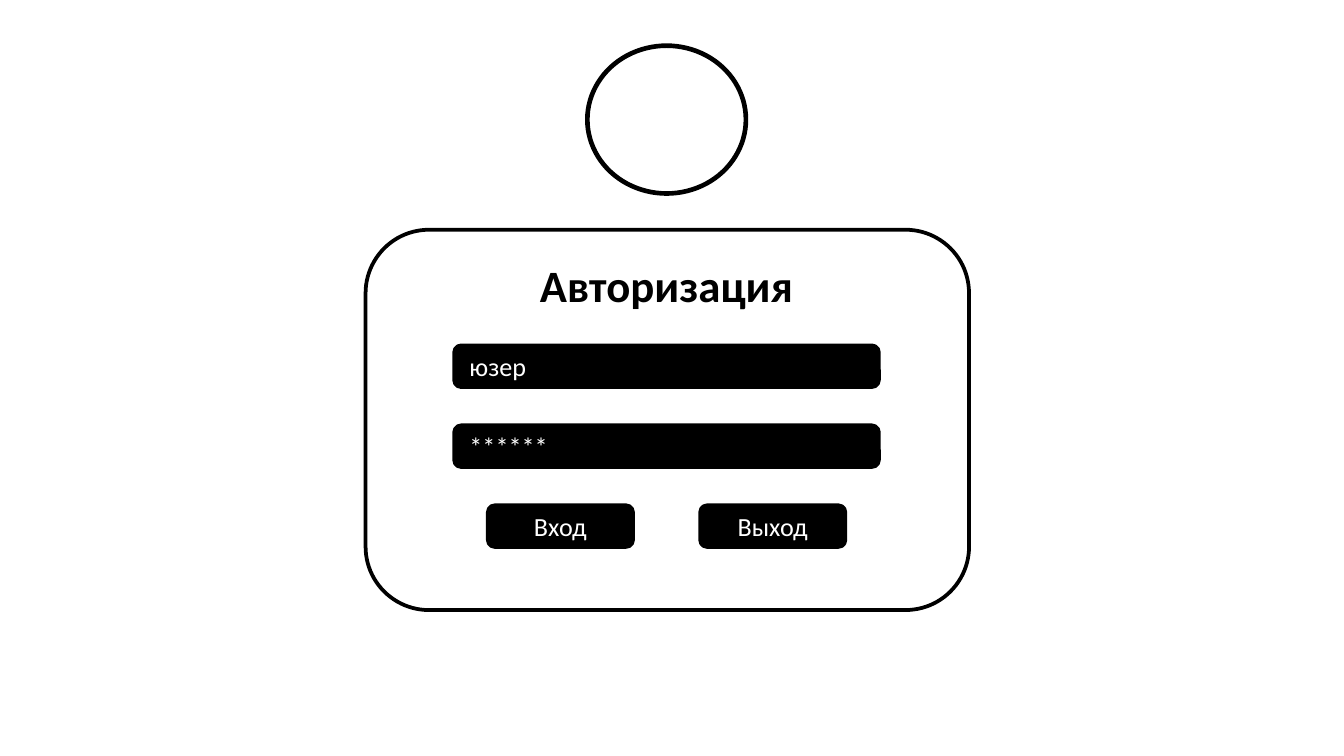
from pptx import Presentation
from pptx.dml.color import RGBColor
from pptx.enum import shapes, text
from pptx.util import Inches, Pt

BLACK = RGBColor(0, 0, 0)
WHITE = RGBColor(255, 255, 255)
ROUNDED = shapes.MSO_SHAPE.ROUNDED_RECTANGLE
OVAL = shapes.MSO_SHAPE.OVAL
LEFT = text.PP_ALIGN.LEFT
CENTER = text.PP_ALIGN.CENTER


def write(shape, words, size=14, color=WHITE, bold=False, align=CENTER,
          anchor=text.MSO_ANCHOR.MIDDLE):
    frame = shape.text_frame
    frame.word_wrap = True
    frame.vertical_anchor = anchor
    para = frame.paragraphs[0]
    para.alignment = align
    span = para.add_run()
    span.text = words
    span.font.name = "Calibri"
    span.font.size = Pt(size)
    span.font.bold = bold
    span.font.color.rgb = color


def add_outlined(page, kind, left, top, width, height, fill=WHITE, weight=2):
    shape = page.shapes.add_shape(
        kind, Inches(left), Inches(top), Inches(width), Inches(height))
    shape.shadow.inherit = False
    shape.fill.solid()
    shape.fill.fore_color.rgb = fill
    shape.line.color.rgb = BLACK
    shape.line.width = Pt(weight)
    return shape


def add_login_card(page, left, top, width, height):
    add_outlined(page, ROUNDED, left, top, width, height)

    field_width, control_height = 3.16, 0.31
    field_left = left + 0.66
    title = page.shapes.add_textbox(
        Inches(field_left), Inches(top + 0.16), Inches(field_width), Inches(0.5))
    write(title, "Авторизация", size=24, color=BLACK, bold=True,
          anchor=text.MSO_ANCHOR.TOP)
    title.text_frame.auto_size = text.MSO_AUTO_SIZE.SHAPE_TO_FIT_TEXT

    button_left, button_width, button_step = left + 0.91, 1.08, 1.58
    rows = [
        [("юзер", field_left, field_width, LEFT)],
        [("******", field_left, field_width, LEFT)],
        [("Вход", button_left, button_width, CENTER),
         ("Выход", button_left + button_step, button_width, CENTER)],
    ]
    row_step = 1.19 / (len(rows) - 1)
    for index, row in enumerate(rows):
        row_top = top + 0.86 + index * row_step
        for words, control_left, control_width, align in row:
            control = add_outlined(page, ROUNDED, control_left, row_top,
                                   control_width, control_height, fill=BLACK)
            write(control, words, align=align)


def add_avatar(page, left, top, width, height):
    add_outlined(page, OVAL, left, top, width, height, weight=2.5)


def main():
    deck = Presentation()
    deck.slide_width = Inches(10)
    deck.slide_height = Inches(10) * 9 // 16
    page = deck.slides.add_slide(deck.slide_layouts[6])
    add_login_card(page, 2.72, 1.71, 4.49, 2.83)
    add_avatar(page, 4.37, 0.34, 1.18, 1.1)
    deck.save("out.pptx")


if __name__ == "__main__":
    main()
